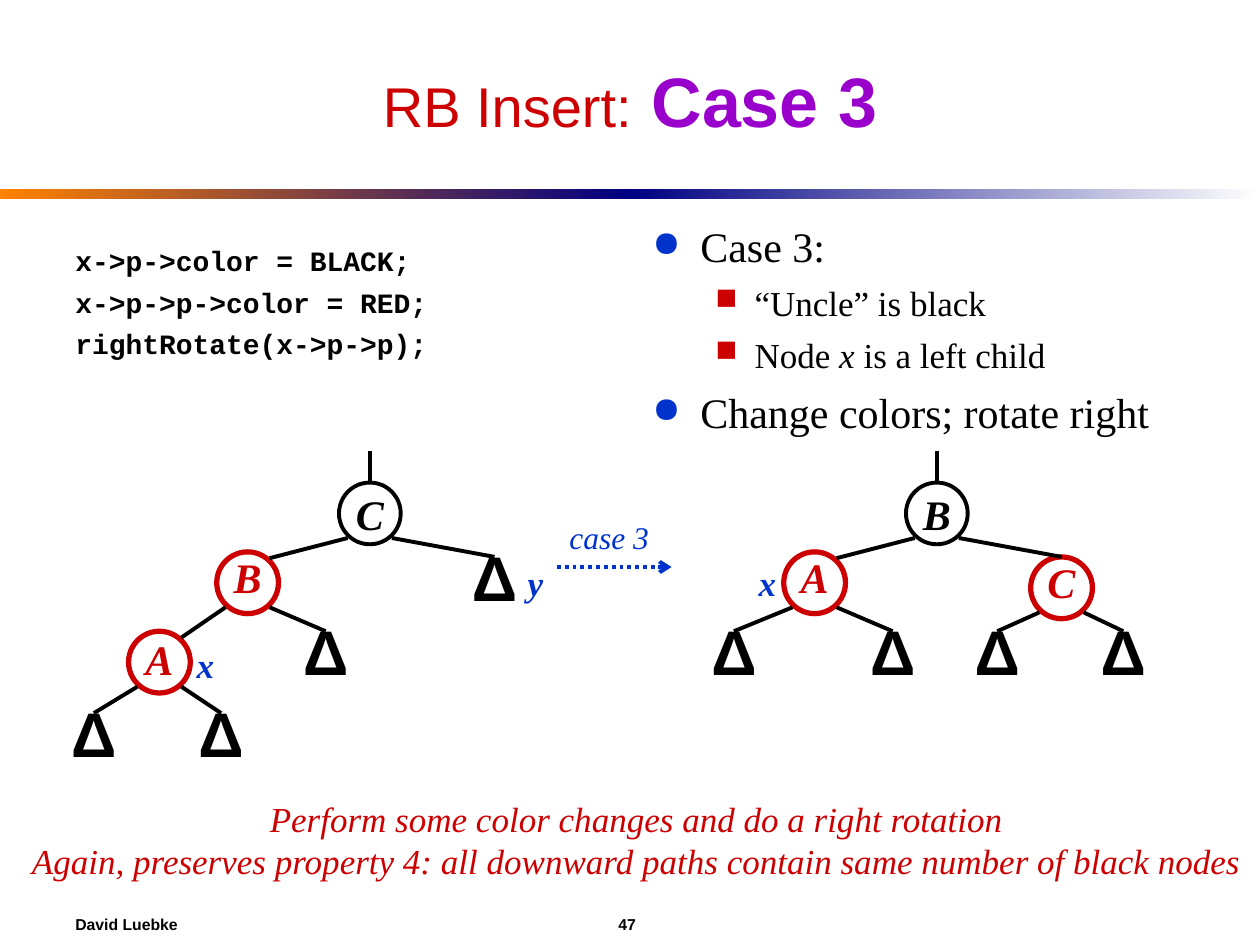
from dataclasses import dataclass
from typing import NamedTuple, Optional

from lxml import etree
from pptx import Presentation
from pptx.dml.color import RGBColor
from pptx.enum import dml, shapes, text
from pptx.oxml import ns
from pptx.util import Inches, Pt


@dataclass(frozen=True)
class Theme:
    black: str = "000000"
    white: str = "FFFFFF"
    red: str = "CC0000"
    blue: str = "0033CC"
    purple: str = "9900CC"
    orange: str = "FF8200"
    navy: str = "000082"
    sans: str = "Arial"
    serif: str = "Times New Roman"
    mono: str = "Courier New"
    footer: int = 9
    code: int = 16
    caption: int = 18
    body: int = 20
    head: int = 24
    title: int = 32
    leaf: int = 36
    case: int = 40
    line: float = 2.25
    ring: float = 3


T = Theme()
NODE = 0.49  # node diameter


class Run(NamedTuple):
    text: str
    size: float
    font: str
    color: str
    bold: bool = False
    italic: bool = False


@dataclass
class Node:
    """A tree node at its top left corner; a node without a key is a leaf triangle."""
    x: float
    y: float
    key: str = ""
    color: str = T.black
    spacing: float = 0.6
    filled: bool = True
    left: Optional["Node"] = None
    right: Optional["Node"] = None


prs = Presentation()
prs.slide_width, prs.slide_height = Inches(10), Inches(7.5)
s = prs.slides.add_slide(prs.slide_layouts[6])


def rgb(color: str) -> RGBColor:
    return RGBColor.from_string(color)


def add_runs(p, runs: list[Run]) -> None:
    for run in runs:
        r = p.add_run()
        r.text = run.text
        r.font.size, r.font.name = Pt(run.size), run.font
        r.font.bold, r.font.italic = run.bold, run.italic
        r.font.color.rgb = rgb(run.color)


def add_text(x: float, y: float, w: float, h: float, paragraphs: list[list[Run]],
             align=text.PP_ALIGN.CENTER, anchor=text.MSO_ANCHOR.MIDDLE,
             wrap: bool = False, before: float = 0):
    tf = s.shapes.add_textbox(Inches(x), Inches(y), Inches(w), Inches(h)).text_frame
    tf.word_wrap, tf.vertical_anchor = wrap, anchor
    for i, runs in enumerate(paragraphs):
        p = tf.add_paragraph() if i else tf.paragraphs[0]
        p.alignment = align
        p.space_before = Pt(before if i else 0)
        add_runs(p, runs)
    return tf


def add_bullet(p, char: str, color: str, margin: float, hang: float) -> None:
    pPr = p._p.get_or_add_pPr()
    pPr.set("marL", str(Inches(margin)))
    pPr.set("indent", str(-Inches(hang)))
    clr = etree.SubElement(pPr, ns.qn("a:buClr"))
    etree.SubElement(clr, ns.qn("a:srgbClr"), val=color)
    etree.SubElement(pPr, ns.qn("a:buSzPct"), val="85000")
    etree.SubElement(pPr, ns.qn("a:buChar"), char=char)


def add_line(x1: float, y1: float, x2: float, y2: float, color: str = T.black):
    sp = s.shapes.add_connector(shapes.MSO_CONNECTOR.STRAIGHT,
                                Inches(x1), Inches(y1), Inches(x2), Inches(y2))
    sp.line.color.rgb, sp.line.width = rgb(color), Pt(T.line)
    etree.SubElement(sp._element.spPr, ns.qn("a:effectLst"))
    return sp


def add_band(x: float, start: str, end: str) -> None:
    sp = s.shapes.add_shape(shapes.MSO_SHAPE.RECTANGLE,
                            Inches(x), Inches(1.5), Inches(5), Inches(0.08))
    sp.shadow.inherit = False
    sp.line.fill.background()
    sp.fill.gradient()
    sp.fill.gradient_angle = 0
    for stop, color, at in zip(sp.fill.gradient_stops, (start, end), (0, 1)):
        stop.color.rgb, stop.position = rgb(color), at


def add_node(n: Node) -> None:
    sp = s.shapes.add_shape(shapes.MSO_SHAPE.OVAL,
                            Inches(n.x), Inches(n.y), Inches(NODE), Inches(NODE))
    sp.shadow.inherit = False
    if n.filled:
        sp.fill.solid()
        sp.fill.fore_color.rgb = rgb(T.white)
    else:
        sp.fill.background()
    if n.key:
        sp.line.color.rgb = rgb(n.color)
        sp.line.width = Pt(T.line if n.color == T.black else T.ring)
        run = Run(n.key, T.head, T.serif, n.color, True, True)
    else:
        sp.line.fill.background()
        run = Run("Δ", T.leaf, T.sans, T.black, True)
    tf = sp.text_frame
    tf.word_wrap, tf.vertical_anchor = False, text.MSO_ANCHOR.MIDDLE
    p = tf.paragraphs[0]
    p.alignment, p.line_spacing = text.PP_ALIGN.CENTER, n.spacing
    add_runs(p, [run])


def add_tree(n: Node) -> None:
    add_node(n)
    for child, start in ((n.left, 0.07), (n.right, 0.42)):
        if child:
            add_tree(child)
            # Inner left children are met on the shoulder, all others at the top
            dx, dy = (0.42, 0.05) if child.key and child is n.left else (NODE / 2, 0)
            add_line(n.x + start, n.y + 0.44, child.x + dx, child.y + dy)


def add_root(n: Node) -> None:
    add_tree(n)
    add_line(n.x + NODE / 2, n.y, n.x + NODE / 2, n.y - 0.25)


# Divider, footer and title
add_band(0, T.orange, T.navy)
add_band(5, T.navy, T.white)
footer = add_text(0.5, 7.17, 9, 0.33,
                  [[Run("David Luebke\t47", T.footer, T.sans, T.black, True)]],
                  align=text.PP_ALIGN.LEFT, wrap=True)
tabs = etree.SubElement(footer.paragraphs[0]._p.get_or_add_pPr(), ns.qn("a:tabLst"))
etree.SubElement(tabs, ns.qn("a:tab"), pos=str(Inches(4.31)), algn="l")
add_text(0.5, 0.25, 9, 1.08, [[Run("RB Insert:", T.title, T.sans, T.red),
                               Run(" ", T.case, T.sans, T.red),
                               Run("Case 3", T.case, T.sans, T.purple, True)]], wrap=True)

# Code
code = ["x->p->color = BLACK;", "x->p->p->color = RED;", "rightRotate(x->p->p);"]
add_text(0.5, 1.88, 4.42, 1.78,
         [[Run(c, T.code, T.mono, T.black, True)] for c in code],
         align=text.PP_ALIGN.LEFT, anchor=text.MSO_ANCHOR.TOP, wrap=True, before=4.8)

# Bullets
points = [(0, ["Case 3:"]), (1, ["“Uncle” is black"]),
          (1, ["Node ", "x", " is a left child"]), (0, ["Change colors; rotate right"])]
tf = add_text(5.08, 1.7, 4.42, 1.89,
              [[Run(t, T.body if level else T.head, T.serif, T.black, italic=t == "x")
                for t in parts] for level, parts in points],
              align=text.PP_ALIGN.LEFT, anchor=text.MSO_ANCHOR.TOP, wrap=True, before=6)
for p, (level, _) in zip(tf.paragraphs, points):
    p.level = level
    if level:
        add_bullet(p, "■", T.red, 0.81, 0.31)
    else:
        add_bullet(p, "●", T.blue, 0.38, 0.38)

# Trees before and after the rotation
add_root(Node(2.69, 3.83, "C", spacing=1,
              left=Node(1.72, 4.38, "B", T.red, 0.7,
                        left=Node(1.02, 5.01, "A", T.red, 0.9,
                                  left=Node(0.5, 5.66),
                                  right=Node(1.51, 5.66, filled=False)),
                        right=Node(2.34, 5.01)),
              right=Node(3.68, 4.42, filled=False)))
add_root(Node(7.19, 3.83, "B", spacing=1,
              left=Node(6.22, 4.38, "A", T.red, 0.7,
                        left=Node(5.58, 5.01), right=Node(6.84, 5.01)),
              right=Node(8.18, 4.42, "C", T.red, 0.7,
                         left=Node(7.67, 5.01),
                         right=Node(8.67, 5.01, filled=False))))
for name, x, y in (("x", 1.46, 5.05), ("y", 4.08, 4.4), ("x", 5.92, 4.4)):
    add_text(x, y, 0.34, 0.44, [[Run(name, T.body, T.serif, T.blue, True, True)]])

# Transition arrow
add_text(4.42, 4.06, 0.83, 0.4, [[Run("case 3", T.caption, T.serif, T.blue, italic=True)]])
arrow = add_line(4.42, 4.5, 5.33, 4.5, T.blue)
arrow.line.dash_style = dml.MSO_LINE.ROUND_DOT
etree.SubElement(arrow.line._get_or_add_ln(), ns.qn("a:tailEnd"), type="arrow")

# Conclusion
add_text(0.14, 6.28, 9.82, 0.77, [[Run(t, T.body, T.serif, T.red, italic=True)] for t in (
    "Perform some color changes and do a right rotation",
    "Again, preserves property 4: all downward paths contain same number of black nodes")])

prs.save("out.pptx")
